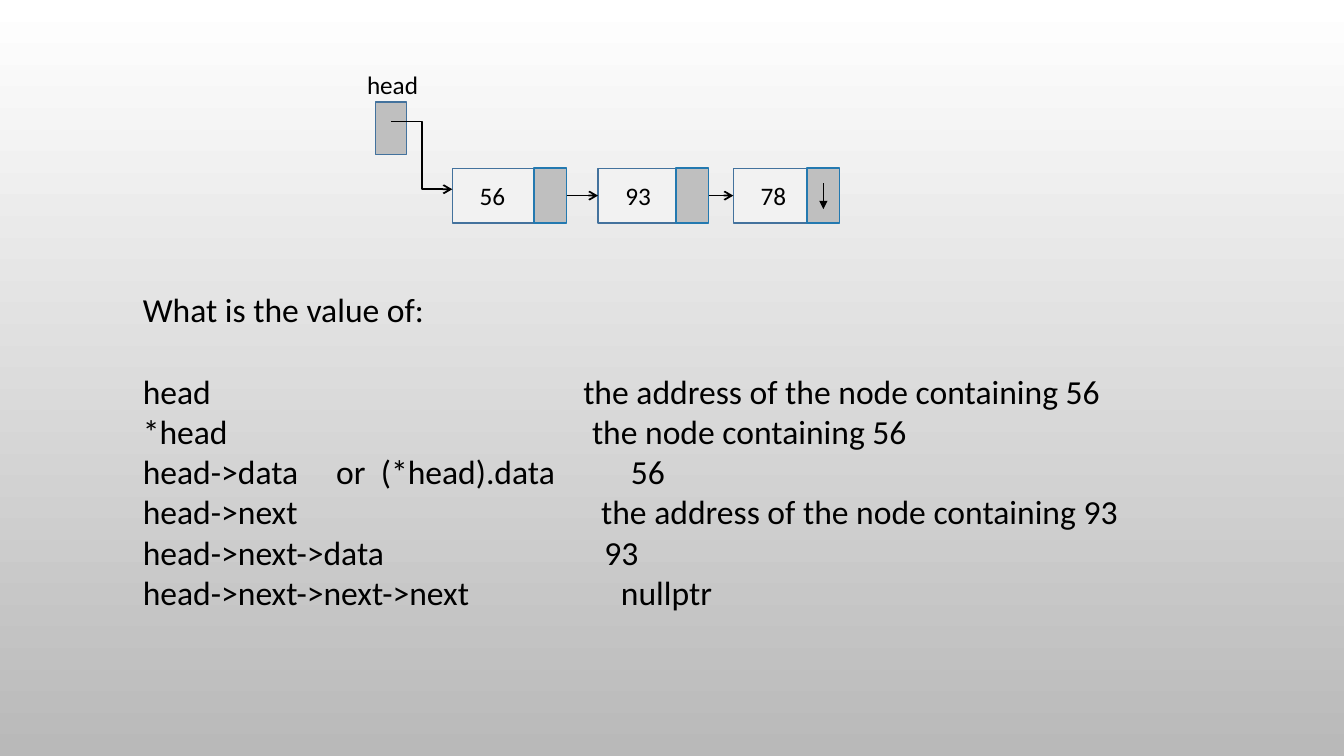
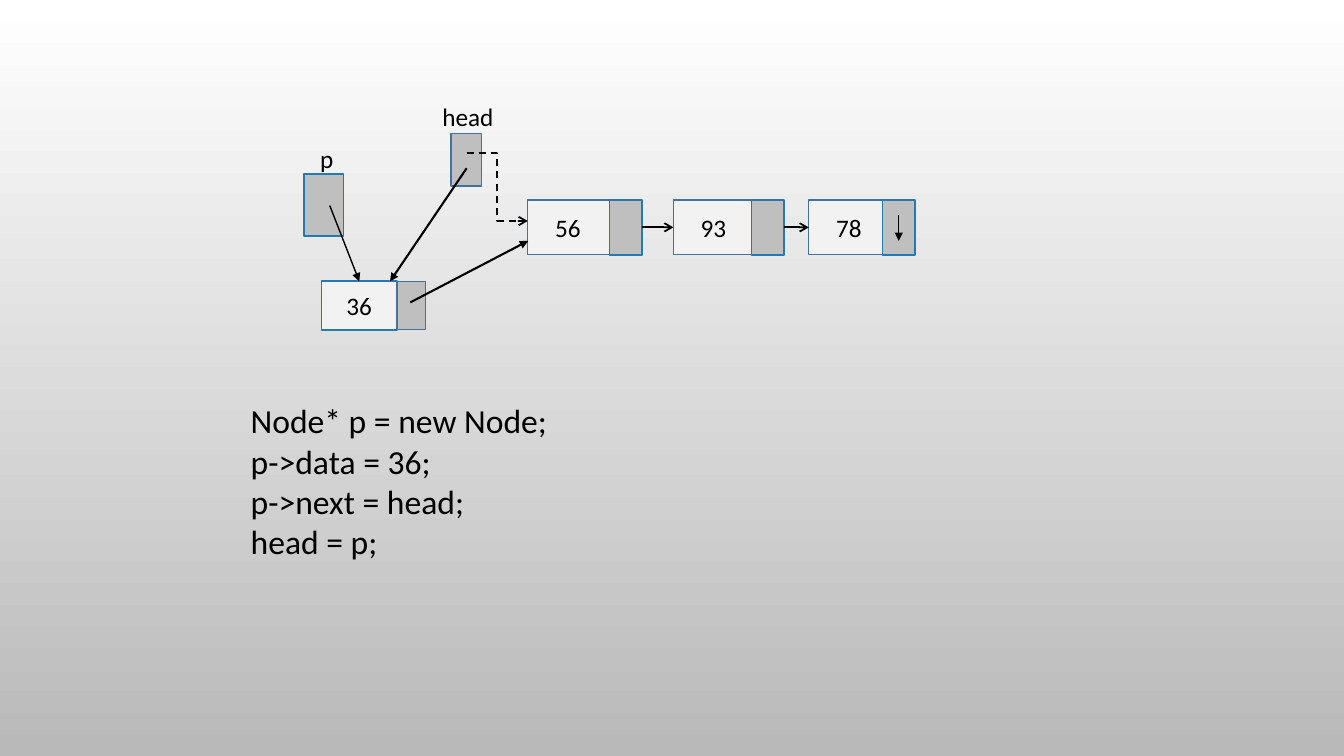
from pptx import Presentation
from pptx import oxml
from pptx import util as u
from pptx.dml.color import RGBColor
from pptx.enum import dml, shapes, text
from pptx.oxml import ns

COLORS = {
    "top": "FFFFFF",
    "bottom": "B9B9B9",
    "ink": "000000",
    "data": "F2F2F2",
    "pointer": "BFBFBF",
    "steel": "43729D",
    "blue": "2379B0",
}
FONT = "Calibri"
OUTLINES = {"steel": 1, "blue": 1.25}
NODE_TOP, NODE_HEIGHT = 4.24, 1.38
NODES = [("56", 11.4, 13.46), ("93", 15.07, 17.04), ("78", 18.48, 20.34)]


def rgb(name):
    """Return the named colour."""
    return RGBColor.from_string(COLORS[name])


def write(tf, content, size=18, align="LEFT", tabs=(), before=0, more=False):
    """Write one paragraph into a text frame."""
    p = tf.add_paragraph() if more else tf.paragraphs[0]
    if tabs:
        tab_list = oxml.parse_xml(f"<a:tabLst {ns.nsdecls('a')}/>")
        for stop in tabs:
            tab = tab_list.makeelement(ns.qn("a:tab"), {"pos": str(u.Cm(stop)), "algn": "l"})
            tab_list.append(tab)
        p._p.get_or_add_pPr().append(tab_list)
    p.alignment = getattr(text.PP_ALIGN, align)
    if before:
        p.space_before = u.Pt(before)
    r = p.add_run()
    r.text = content
    r.font.name, r.font.size = FONT, u.Pt(size)
    r.font.color.rgb = rgb("ink")


class Deck:
    """Hold the presentation style and the current slide."""

    def __init__(self):
        """Set the slide size and the shared background."""
        self.prs = Presentation()
        self.prs.slide_width, self.prs.slide_height = u.Cm(33.87), u.Cm(19.05)
        fill = self.prs.slide_master.background.fill
        fill.gradient()
        fill.gradient_angle = 270
        for stop, name in zip(fill.gradient_stops, ("top", "bottom")):
            stop.color.rgb = rgb(name)
        self.s = None

    def slide(self):
        """Start a blank slide."""
        self.s = self.prs.slides.add_slide(self.prs.slide_layouts[6])

    def box(self, x, y, w, h, fill="pointer", outline="blue"):
        """Draw an outlined rectangle."""
        sp = self.s.shapes.add_shape(
            shapes.MSO_SHAPE.RECTANGLE, u.Cm(x), u.Cm(y), u.Cm(w), u.Cm(h))
        sp.shadow.inherit = False
        sp.fill.solid()
        sp.fill.fore_color.rgb = rgb(fill)
        sp.line.color.rgb = rgb(outline)
        sp.line.width = u.Pt(OUTLINES[outline])
        return sp

    def textbox(self, x, y, w, h, wrap=False):
        """Add an empty text box and return its frame."""
        tf = self.s.shapes.add_textbox(u.Cm(x), u.Cm(y), u.Cm(w), u.Cm(h)).text_frame
        tf.word_wrap = wrap
        return tf

    def lines(self, x, y, w, h, rows):
        """Write lines given as (text, tab stops, space before)."""
        tf = self.textbox(x, y, w, h, wrap=True)
        for i, (content, tabs, before) in enumerate(rows):
            write(tf, content, size=24, tabs=tabs, before=before, more=i > 0)

    def arrow(self, start, end, width=1.25, head="arrow", bent=False, dashed=False):
        """Draw an arrow between two points."""
        kind = shapes.MSO_CONNECTOR.ELBOW if bent else shapes.MSO_CONNECTOR.STRAIGHT
        c = self.s.shapes.add_connector(kind, *(u.Cm(v) for v in (*start, *end)))
        c.line.color.rgb = rgb("ink")
        c.line.width = u.Pt(width)
        if dashed:
            c.line.dash_style = dml.MSO_LINE.DASH
        c.line._get_or_add_ln().append(
            oxml.parse_xml(f'<a:tailEnd {ns.nsdecls("a")} type="{head}"/>'))
        c._element.spPr.append(oxml.parse_xml(f"<a:effectLst {ns.nsdecls('a')}/>"))
        return c

    def linked_list(self, dx=0, dy=0, dashed=False):
        """Draw the head pointer and the three linked nodes."""
        top = NODE_TOP + dy
        middle = top + NODE_HEIGHT / 2
        write(self.textbox(9 + dx, 1.63 + dy, 1.8, 1.03), "head")
        self.box(9.47 + dx, 2.57 + dy, 0.77, 1.32, outline="steel")
        previous = None
        for value, left, pointer_left in NODES:
            node = self.box(left + dx, top, 2.65, NODE_HEIGHT, "data", "steel")
            tf = node.text_frame
            tf.margin_left = u.Cm(0.69)
            write(tf, value)
            pointer = self.box(pointer_left + dx, top, 0.82, NODE_HEIGHT)
            if previous:
                c = self.arrow((left + dx - 1, middle), (left + dx, middle))
                c.begin_connect(previous, 3)
                c.end_connect(node, 1)
            previous = pointer
        self.arrow((9.86 + dx, 3.06 + dy), (11.4 + dx, 4.77 + dy), bent=True, dashed=dashed)
        null_x = pointer_left + dx + 0.41
        self.arrow((null_x, top + 0.38), (null_x, top + 1.03), 0.75, "triangle")


def main():
    """Build both slides and save them."""
    deck = Deck()

    deck.slide()
    deck.lines(3.35, 7.16, 27.33, 9.25, [
        ("What is the value of:", (), 0),
        ("head\tthe address of the node containing 56", (11.1,), 29.3),
        ("*head\tthe node containing 56", (11.32,), 0),
        ("head->data\tor\t(*head).data\t56", (4.87, 6, 12.3), 0),
        ("head->next\tthe address of the node containing 93", (11.55,), 0),
        ("head->next->data\t93", (11.63,), 0),
        ("head->next->next->next\tnullptr", (12.05,), 0),
    ])
    deck.linked_list()

    deck.slide()
    code = ["Node* p = new Node;", "p->data = 36;", "p->next = head;", "head = p;"]
    deck.lines(6.07, 9.96, 18.54, 5.13, [(line, (), 0) for line in code])
    deck.linked_list(1.9, 0.8, dashed=True)
    new_node = deck.box(8.1, 7.09, 1.91, 1.22, "data")
    write(new_node.text_frame, "36", align="CENTER")
    deck.box(10.01, 7.09, 0.71, 1.22, outline="steel")
    deck.box(7.67, 4.39, 0.99, 1.55)
    write(deck.textbox(7.82, 3.48, 0.71, 1.02), "p")
    deck.arrow((10.34, 7.62), (13.31, 6.07), 1.5, "triangle")
    c = deck.arrow((8.31, 5.18), (9.05, 7.09), 1, "triangle")
    c.end_connect(new_node, 0)
    deck.arrow((11.76, 4.24), (9.83, 7.09), 1.5, "triangle")

    deck.prs.save("out.pptx")


if __name__ == "__main__":
    main()
